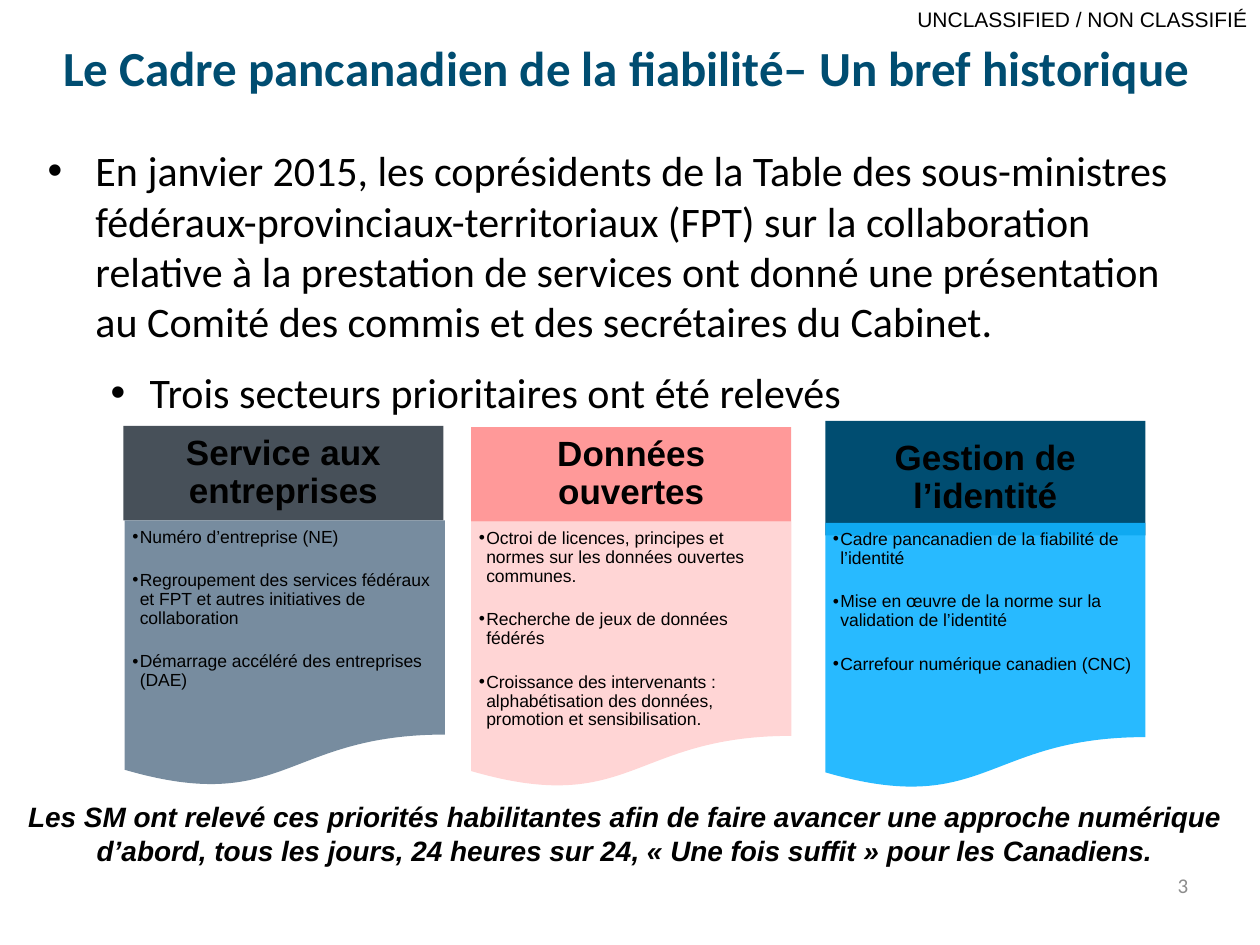
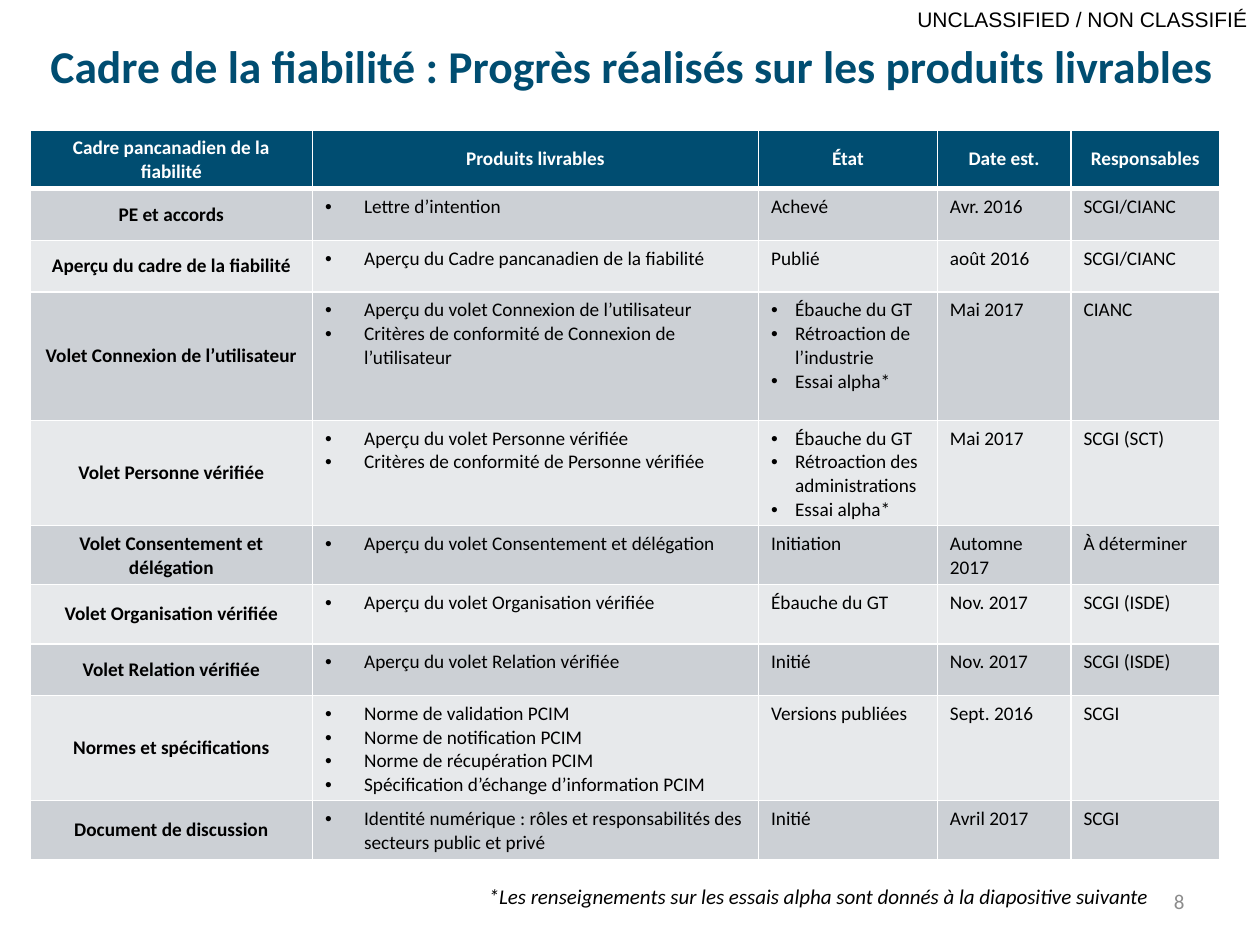
"""Build two slides on the history and deliverables of the trust framework."""
from lxml import etree
from pptx import Presentation
from pptx.dml.color import RGBColor
from pptx.enum.shapes import MSO_SHAPE
from pptx.enum.text import MSO_ANCHOR, MSO_AUTO_SIZE, PP_ALIGN
from pptx.oxml.ns import qn
from pptx.util import Inches, Pt

LEFT, CENTER, RIGHT = PP_ALIGN.LEFT, PP_ALIGN.CENTER, PP_ALIGN.RIGHT
TOP, MIDDLE = MSO_ANCHOR.TOP, MSO_ANCHOR.MIDDLE
NO_AUTOFIT = MSO_AUTO_SIZE.NONE
RECTANGLE, DOCUMENT = MSO_SHAPE.RECTANGLE, MSO_SHAPE.FLOWCHART_DOCUMENT

COLORS = {
    "navy": "004D71", "black": "000000", "white": "FFFFFF", "grey": "8C8C8C",
    "charcoal": "333E48", "slate": "778C9F", "coral": "FF9999",
    "blush": "FFD5D5", "sky": "11B3FF", "row_dark": "CCD0D5", "row_light": "E7E9EB",
}


def write(frame, lines, size, color="black", font="Calibri", bold=False,
          italic=False, align=LEFT, anchor=TOP, hanging=None, margins=None):
    """Fill a text frame with evenly formatted, optionally bulleted lines."""
    frame.word_wrap = True
    frame.vertical_anchor = anchor
    if margins:
        (frame.margin_left, frame.margin_top,
         frame.margin_right, frame.margin_bottom) = map(Inches, margins)
    frame.text = "\n".join(lines)
    for paragraph in frame.paragraphs:
        paragraph.alignment = align
        paragraph.font.size = Pt(size)
        paragraph.font.name = font
        paragraph.font.bold = bold
        paragraph.font.italic = italic
        paragraph.font.color.rgb = RGBColor.from_string(COLORS[color])
        if hanging:
            properties = paragraph._p.get_or_add_pPr()
            properties.set("marL", str(Inches(hanging)))
            properties.set("indent", str(-Inches(hanging)))
            etree.SubElement(properties, qn("a:buFont"), typeface="Arial")
            etree.SubElement(properties, qn("a:buChar"), char="•")


def add_panel(slide, kind, box, color, opacity):
    """Add a borderless, flat filled shape."""
    panel = slide.shapes.add_shape(kind, *map(Inches, box))
    panel.shadow.inherit = False
    panel.line.fill.background()
    panel.fill.solid()
    panel.fill.fore_color.rgb = RGBColor.from_string(COLORS[color])
    if opacity < 100:
        tint = panel._element.spPr.find(qn("a:solidFill"))[0]
        etree.SubElement(tint, qn("a:alpha"), val=str(opacity * 1000))
    return panel.text_frame


prs = Presentation()
prs.slide_width, prs.slide_height = Inches(10), Inches(7.5)

pages = [
    ("Le Cadre pancanadien de la fiabilité– Un bref historique", 28, LEFT,
     (0.5, 0.3, 9.19, 0.61), (0, 0, 0, 0), "3", (8.86, 6.74, 0.67, 0.57)),
    ("Cadre de la fiabilité : Progrès réalisés sur les produits livrables", 26, CENTER,
     (0.12, 0.25, 9.8, 0.54), (0.1, 0.05, 0.1, 0.05), "8", (7.17, 6.95, 2.33, 0.4)),
]
for heading, size, align, title_box, margins, number, number_box in pages:
    slide = prs.slides.add_slide(prs.slide_layouts[5])
    title = slide.shapes.title
    title.left, title.top, title.width, title.height = map(Inches, title_box)
    write(title.text_frame, [heading], size, "navy", bold=True, align=align, margins=margins)
    title.text_frame.auto_size = NO_AUTOFIT
    marking = slide.shapes.add_textbox(0, 0, Inches(10), Inches(0.3))
    write(marking.text_frame, ["UNCLASSIFIED / NON CLASSIFIÉ"], 12, font="Arial", align=RIGHT)
    page_number = slide.shapes.add_textbox(*map(Inches, number_box))
    write(page_number.text_frame, [number], 12, "grey", align=RIGHT, anchor=MIDDLE)

history, progress = prs.slides

background = history.shapes.add_textbox(Inches(0.28), Inches(1.1), Inches(9.37), Inches(5.8))
write(background.text_frame, [
    "En janvier\u00a02015, les coprésidents de la Table des sous-ministres "
    "fédéraux-provinciaux-territoriaux (FPT) sur la collaboration relative à la "
    "prestation de services ont donné une présentation au Comité des commis et "
    "des secrétaires du Cabinet.",
    "Trois secteurs prioritaires ont été relevés",
], 24, hanging=0.38)
sectors_line = background.text_frame.paragraphs[1]
sectors_line.level = 1
sectors_line.space_before = Pt(11.5)
sectors_line._p.pPr.set("marL", str(Inches(0.81)))
sectors_line._p.pPr.set("indent", str(-Inches(0.31)))

sectors = [
    ("Service aux entreprises", (0.98, 3.38), 0.75, "charcoal", 90, (0.99, 4.13), "slate", 100,
     ["Numéro d’entreprise (NE)",
      "Regroupement des services fédéraux et FPT et autres initiatives de collaboration",
      "Démarrage accéléré des entreprises (DAE)"]),
    ("Données ouvertes", (3.74, 3.39), 0.75, "coral", 100, (3.74, 4.14), "blush", 100,
     ["Octroi de licences, principes et normes sur les données ouvertes communes.",
      "Recherche de jeux de données fédérés",
      "Croissance des intervenants : alphabétisation des données, promotion et "
      "sensibilisation."]),
    ("Gestion de l’identité", (6.55, 3.34), 0.91, "navy", 100, (6.55, 4.15), "sky", 90,
     ["Cadre pancanadien de la fiabilité de l’identité",
      "Mise en œuvre de la norme sur la validation de l’identité",
      "Carrefour numérique canadien (CNC)"]),
]
for (sector, head_at, head_height, head_color, head_opacity,
     list_at, list_color, list_opacity, initiatives) in sectors:
    head = add_panel(history, RECTANGLE, (*head_at, 2.54, head_height), head_color, head_opacity)
    write(head, [sector], 20, font="Arial", bold=True, align=CENTER, anchor=MIDDLE,
          margins=(0.16, 0.09, 0.16, 0.09))
    details = add_panel(history, DOCUMENT, (*list_at, 2.54, 2.12), list_color, list_opacity)
    write(details, initiatives, 10, font="Arial", hanging=0.06,
          margins=(0.06, 0.06, 0.08, 0.09))
    for paragraph in (*head.paragraphs, *details.paragraphs):
        paragraph.line_spacing = 0.9
    for paragraph in details.paragraphs:
        paragraph.space_after = Pt(14)

conclusion = history.shapes.add_textbox(Inches(0.1), Inches(6.3), Inches(9.72), Inches(0.64))
write(conclusion.text_frame, [
    "Les SM ont relevé ces priorités habilitantes afin de faire avancer une approche "
    "numérique d’abord, tous les jours, 24 heures sur 24, «\u00a0Une fois suffit\u00a0» "
    "pour les Canadiens."
], 16, font="Arial", bold=True, italic=True, align=CENTER)

deliverables = [
    ("Cadre pancanadien de la fiabilité", ["Produits livrables"], ["État"],
     "Date est.", "Responsables"),
    ("PE et accords", ["Lettre d’intention"], ["Achevé"], "Avr. 2016", "SCGI/CIANC"),
    ("Aperçu du cadre de la fiabilité", ["Aperçu du Cadre pancanadien de la fiabilité"],
     ["Publié"], "août 2016", "SCGI/CIANC"),
    ("Volet Connexion de l’utilisateur",
     ["Aperçu du volet Connexion de l’utilisateur",
      "Critères de conformité de Connexion de l’utilisateur"],
     ["Ébauche du GT", "Rétroaction de l’industrie", "Essai alpha*"], "Mai 2017", "CIANC"),
    ("Volet Personne vérifiée",
     ["Aperçu du volet Personne vérifiée", "Critères de conformité de Personne vérifiée"],
     ["Ébauche du GT", "Rétroaction des administrations", "Essai alpha*"],
     "Mai 2017", "SCGI (SCT)"),
    ("Volet Consentement et délégation", ["Aperçu du volet Consentement et délégation"],
     ["Initiation"], "Automne 2017", "À déterminer"),
    ("Volet Organisation vérifiée", ["Aperçu du volet Organisation vérifiée"],
     ["Ébauche du GT"], "Nov. 2017", "SCGI (ISDE)"),
    ("Volet Relation vérifiée", ["Aperçu du volet Relation vérifiée"],
     ["Initié"], "Nov. 2017", "SCGI (ISDE)"),
    ("Normes et spécifications",
     ["Norme de validation PCIM", "Norme de notification PCIM",
      "Norme de récupération PCIM", "Spécification d’échange d’information PCIM"],
     ["Versions publiées"], "Sept. 2016", "SCGI"),
    ("Document de discussion",
     ["Identité numérique : rôles et responsabilités des secteurs public et privé"],
     ["Initié"], "Avril 2017", "SCGI"),
]
column_widths = [2.24, 3.54, 1.42, 1.06, 1.18]
row_heights = [0.46, 0.41, 0.41, 1.02, 0.83, 0.47, 0.47, 0.41, 0.83, 0.47]

schedule = progress.shapes.add_table(
    len(deliverables), len(column_widths), Inches(0.24), Inches(1.03),
    Inches(sum(column_widths)), Inches(sum(row_heights))).table
for column, width in zip(schedule.columns, column_widths):
    column.width = Inches(width)
for row, height in zip(schedule.rows, row_heights):
    row.height = Inches(height)

for r, entries in enumerate(deliverables):
    is_header = r == 0
    row_color = "navy" if is_header else "row_dark" if r % 2 else "row_light"
    for c, entry in enumerate(entries):
        cell = schedule.cell(r, c)
        lines = [entry] if isinstance(entry, str) else entry
        is_label = is_header or c == 0
        hanging = None
        if not is_header and c == 1:
            hanging = 0.31
        elif c == 2 and len(lines) > 1:
            hanging = 0.19
        write(cell.text_frame, lines, 11, "white" if is_header else "black",
              bold=is_label, align=CENTER if is_label else LEFT, hanging=hanging)
        cell.vertical_anchor = MIDDLE if is_label else TOP
        for side in ("L", "R", "T", "B"):
            below_header = (r, side) in ((0, "B"), (1, "T"))
            border = etree.SubElement(cell._tc.get_or_add_tcPr(), qn(f"a:ln{side}"),
                                      w=str(Pt(3 if below_header else 1)))
            stroke = etree.SubElement(border, qn("a:solidFill"))
            etree.SubElement(stroke, qn("a:srgbClr"), val=COLORS["white"])
        cell.fill.solid()
        cell.fill.fore_color.rgb = RGBColor.from_string(COLORS[row_color])

footnote = progress.shapes.add_textbox(Inches(3.78), Inches(6.96), Inches(5.48), Inches(0.3))
write(footnote.text_frame,
      ["*Les renseignements sur les essais alpha sont donnés à la diapositive suivante"],
      12, italic=True)
footnote.text_frame.word_wrap = False

prs.save("out.pptx")
